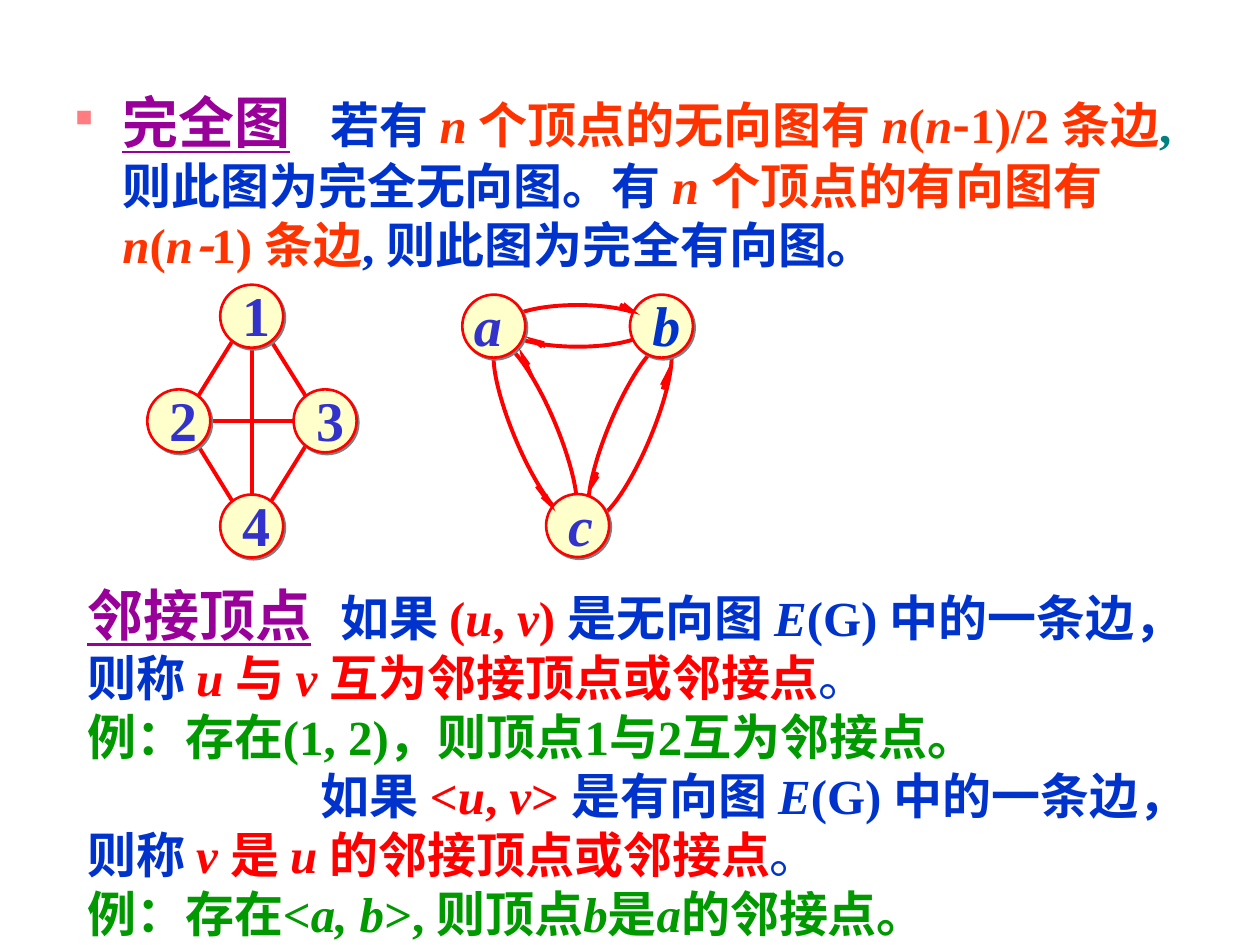
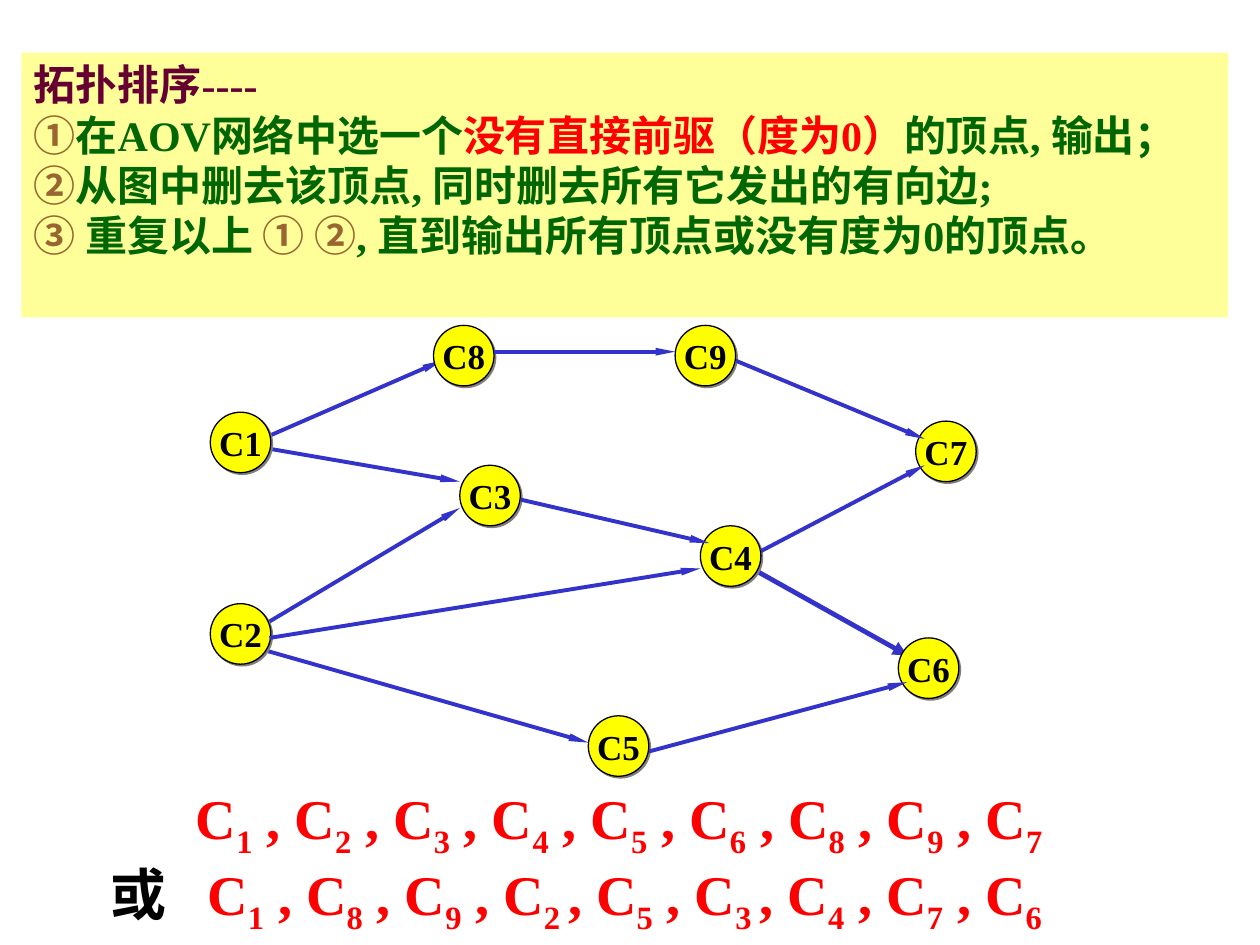
from lxml import etree
from pptx import Presentation
from pptx.dml.color import RGBColor
from pptx.enum.shapes import MSO_CONNECTOR, MSO_SHAPE
from pptx.enum.text import MSO_ANCHOR, PP_ALIGN
from pptx.oxml.ns import qn
from pptx.util import Cm, Pt

OVAL = MSO_SHAPE.OVAL
RECTANGLE = MSO_SHAPE.RECTANGLE
STRAIGHT = MSO_CONNECTOR.STRAIGHT
TOP = MSO_ANCHOR.TOP
MIDDLE = MSO_ANCHOR.MIDDLE
LEFT = PP_ALIGN.LEFT
CENTER = PP_ALIGN.CENTER

LATIN_FONT = "Times New Roman"
CHINESE_FONT = "Noto Sans CJK SC"

BLACK = RGBColor(0x00, 0x00, 0x00)
RED = RGBColor(0xFF, 0x00, 0x00)
ORANGE = RGBColor(0xFF, 0x33, 0x00)
BLUE = RGBColor(0x00, 0x33, 0xCC)
INDIGO = RGBColor(0x33, 0x33, 0xCC)
PURPLE = RGBColor(0x99, 0x00, 0x99)
TEAL = RGBColor(0x00, 0x80, 0x80)
GREEN = RGBColor(0x00, 0x99, 0x00)
DARK_GREEN = RGBColor(0x00, 0x66, 0x00)
BROWN = RGBColor(0x99, 0x66, 0x33)
MAROON = RGBColor(0x66, 0x00, 0x33)
PINK = RGBColor(0xFF, 0x7C, 0x80)
CREAM = RGBColor(0xFF, 0xFF, 0xCC)
PALE_YELLOW = RGBColor(0xFF, 0xFF, 0x99)
YELLOW = RGBColor(0xFF, 0xFF, 0x00)
GRAY = RGBColor(0x80, 0x80, 0x80)


def write(paragraph, text, color=BLACK, size=28, bold=True, italic=False,
          underline=False, font=LATIN_FONT, spacing=0, baseline=0):
    run = paragraph.add_run()
    run.text = text
    run.font.name = font
    run.font.size = Pt(size)
    run.font.bold = bold
    run.font.italic = italic
    run.font.underline = underline
    run.font.color.rgb = color
    properties = run.font._element
    latin = properties.find(qn("a:latin"))
    east_asian = etree.Element(qn("a:ea"), typeface=CHINESE_FONT)
    latin.addnext(east_asian)
    if spacing:
        properties.set("spc", str(round(spacing * 100)))
    if baseline:
        properties.set("baseline", str(baseline * 1000))


def write_phrases(paragraph, phrases, **formats):
    for text, color in phrases:
        for index, part in enumerate(text.split("*")):
            if part:
                write(paragraph, part, color=color, italic=index % 2 == 1, **formats)


def indent(paragraph, left, first_line):
    properties = paragraph._p.get_or_add_pPr()
    properties.set("marL", str(Cm(left)))
    properties.set("indent", str(Cm(first_line)))
    return properties


def add_text_box(slide, left, top, width, height):
    box = slide.shapes.add_textbox(Cm(left), Cm(top), Cm(width), Cm(height))
    box.text_frame.word_wrap = True
    return box.text_frame


def add_paragraphs(frame, count, line_spacing):
    paragraphs = [frame.paragraphs[0]]
    paragraphs += [frame.add_paragraph() for _ in range(count - 1)]
    for paragraph in paragraphs:
        paragraph.line_spacing = Pt(line_spacing)
    return paragraphs


def add_line(slide, left, top, ends, color, width=2.25, arrow=None):
    x1, y1, x2, y2 = ends
    connector = slide.shapes.add_connector(
        STRAIGHT, Cm(left + x1), Cm(top + y1), Cm(left + x2), Cm(top + y2))
    connector.line.color.rgb = color
    connector.line.width = Pt(width)
    if arrow:
        head_width, head_length = arrow
        etree.SubElement(connector.line._get_or_add_ln(), qn("a:tailEnd"),
                         type="triangle", w=head_width, len=head_length)
    etree.SubElement(connector._element.spPr, qn("a:effectLst"))


def add_shape(slide, kind, left, top, width, height, fill=None, line=None, line_width=1.5):
    shape = slide.shapes.add_shape(kind, Cm(left), Cm(top), Cm(width), Cm(height))
    shape.shadow.inherit = False
    if fill is None:
        shape.fill.background()
    else:
        shape.fill.solid()
        shape.fill.fore_color.rgb = fill
    if line is None:
        shape.line.fill.background()
    else:
        shape.line.color.rgb = line
        shape.line.width = Pt(line_width)
    return shape


def add_node(slide, left, top, diameter, fill, line, line_width):
    node = add_shape(slide, OVAL, left, top, diameter, diameter, fill, line, line_width)
    effects = node._element.spPr.find(qn("a:effectLst"))
    shadow = etree.SubElement(effects, qn("a:outerShdw"), blurRad="0",
                              dist=str(Pt(1.4)), dir="2700000", algn="ctr", rotWithShape="0")
    etree.SubElement(shadow, qn("a:srgbClr"), val=str(GRAY))
    return node


def add_small_node(slide, left, top):
    add_node(slide, left, top, 1.27, CREAM, RED, 1.5)


def add_node_label(slide, left, top, text, **formats):
    frame = add_text_box(slide, left, top - 0.2, 1.07, 1.63)
    frame.margin_left = frame.margin_right = 0
    paragraph = frame.paragraphs[0]
    paragraph.alignment = CENTER
    write(paragraph, text, size=32, **formats)


def add_complete_graph_text(slide, left, top, width, height):
    frame = add_text_box(slide, left, top, width, height)
    paragraph = add_paragraphs(frame, 1, 33.7)[0]
    properties = indent(paragraph, 0.95, -0.95)
    bullet_color = etree.SubElement(properties, qn("a:buClr"))
    etree.SubElement(bullet_color, qn("a:srgbClr"), val=str(PINK))
    etree.SubElement(properties, qn("a:buSzPct"), val="42000")
    etree.SubElement(properties, qn("a:buChar"), char="■")
    write(paragraph, "完全图", PURPLE, 32, underline=True, font=CHINESE_FONT)
    write(paragraph, " ", spacing=16.4)
    write_phrases(paragraph, [("若有 ", BLUE), ("*n *个顶点的无向图有 *n*(*n*", ORANGE)])
    write(paragraph, "-", ORANGE, font=CHINESE_FONT)
    write_phrases(paragraph, [
        ("1)/2 条边", ORANGE), (", ", TEAL), ("则此图为完全无向图。有 ", BLUE),
        ("*n *个顶点的有向图有*n*(*n*", ORANGE)])
    write(paragraph, "-", ORANGE, italic=True, font=CHINESE_FONT)
    write_phrases(paragraph, [("1) 条边", ORANGE), (", 则此图为完全有向图。", BLUE)])


def add_undirected_graph(slide, left, top):
    nodes = {"1": (1.47, 0), "2": (0, 2.11), "3": (2.95, 2.11), "4": (1.47, 4.23)}
    radius, inset = 0.635, 0.21
    for start, end in ("24", "13", "34", "12", "23", "14"):
        (x1, y1), (x2, y2) = nodes[start], nodes[end]
        step_x = inset * ((x2 > x1) - (x2 < x1))
        step_y = inset * ((y2 > y1) - (y2 < y1))
        ends = (x1 + step_x, y1 + step_y, x2 - step_x, y2 - step_y)
        add_line(slide, left + radius, top + radius, ends, RED)
    for name, (x, y) in nodes.items():
        add_small_node(slide, left + x, top + y)
        add_node_label(slide, left + x + 0.2, top + y, name, color=INDIGO)


def add_directed_graph(slide, left, top):
    arcs = [(2.95, 0.84, 0.86, 3.81, 22.8), (1.04, 0.84, 0.86, 3.81, 337.2),
            (0.84, 0.21, 2.97, 0.84, 0)]
    nodes = [("a", 0, 0, -0.02, INDIGO), ("b", 3.38, 0, 0.2, BLUE),
             ("c", 1.69, 4.02, 0.16, INDIGO)]
    arrows = [(3.18, 0.2, 3.58, 0.41), (1.68, 1.04, 1.27, 0.84), (1.5, 3.86, 1.88, 4.37),
              (1.4, 1.65, 1.14, 1.07), (2.72, 3.58, 2.54, 4.01), (4.04, 1.91, 4.17, 1.45)]
    for x, y, width, height, rotation in arcs:
        arc = add_shape(slide, OVAL, left + x, top + y, width, height, line=RED, line_width=2.25)
        arc.rotation = rotation
    for name, x, y, shift, color in nodes:
        add_small_node(slide, left + x, top + y)
    for ends in arrows:
        add_line(slide, left, top, ends, RED, arrow=("sm", "lg"))
    for name, x, y, shift, color in nodes:
        add_node_label(slide, left + x + shift, top + y, name, color=color, italic=True)


def add_adjacency_text(slide, left, top, width, height):
    frame = add_text_box(slide, left, top, width, height)
    undirected, first_example, directed, second_example = add_paragraphs(frame, 4, 33.7)
    write(undirected, "邻接顶点", PURPLE, 32, underline=True)
    write(undirected, " ", spacing=10)
    write_phrases(undirected, [
        ("如果 ", BLUE), ("(*u*, *v*) ", RED), ("是无向图 *E*(G) 中的一条边，则称 ", BLUE),
        ("*u *与 *v *互为邻接顶点或邻接点", RED)])
    write_phrases(first_example, [("例：存在(1, 2)，则顶点1与2互为邻接点。", GREEN)])
    indent(directed, 0, 4.71)
    write_phrases(directed, [
        ("如果 ", BLUE), ("<*u*, *v*> ", RED), ("是有向图 *E*(G) 中的一条边，则称 ", BLUE),
        ("*v *是 *u *的邻接顶点或邻接点", RED)])
    for paragraph in (undirected, directed):
        write(paragraph, "。", BLUE, bold=False)
    write_phrases(second_example, [("例：存在<*a, b*>, 则顶点*b*是*a*的邻接点。", GREEN)])


def add_sorting_steps(slide, left, top, width, height):
    band = add_shape(slide, RECTANGLE, left, top, width, height, fill=PALE_YELLOW)
    frame = band.text_frame
    frame.word_wrap = True
    frame.vertical_anchor = TOP
    frame.margin_right = Cm(0.9)
    steps = [
        [("拓扑排序----", MAROON)],
        [("①", BROWN), ("在AOV网络中选一个", DARK_GREEN),
         ("没有直接前驱（度为0）", RED), ("的顶点, 输出；", DARK_GREEN)],
        [("②", BROWN), ("从图中删去该顶点, 同时删去所有它发出的有向边;", DARK_GREEN)],
        [("③ ", BROWN), ("重复以上 ", DARK_GREEN), ("① ②", BROWN),
         (", 直到输出所有顶点或没有度为0的顶点。", DARK_GREEN)],
    ]
    for paragraph, phrases in zip(add_paragraphs(frame, len(steps), 28.8), steps):
        paragraph.alignment = LEFT
        write_phrases(paragraph, phrases, size=24)


def add_activity_network(slide, left, top):
    nodes = {"C8": (4.5, 0), "C3": (5.03, 2.82), "C5": (7.62, 7.87), "C4": (9.88, 4.04),
             "C9": (9.37, 0), "C6": (13.87, 6.3), "C7": (14.22, 1.93), "C1": (0, 1.75),
             "C2": (0, 5.61)}
    edges_behind = [(0.86, 6.48, 7.62, 8.41), (1.19, 5.97, 5.03, 3.68),
                    (1.04, 2.46, 5.03, 3.15), (1.04, 2.29, 4.67, 0.71)]
    edges_in_front = [(5.72, 0.53, 9.37, 0.53), (6.25, 3.51, 10.06, 4.39),
                      (1.19, 6.3, 9.88, 4.9), (10.59, 0.71, 14.4, 2.29),
                      (11.1, 4.55, 14.4, 2.82), (8.84, 8.59, 14.05, 7.19)]
    add_line(slide, left, top, (10.92, 4.9, 14.05, 6.65), INDIGO, 2.75, ("med", "med"))
    for ends in edges_behind:
        add_line(slide, left, top, ends, INDIGO, arrow=("sm", "lg"))
    for name, (x, y) in nodes.items():
        node = add_node(slide, left + x, top + y, 1.22, YELLOW, BLACK, 0.75)
        frame = node.text_frame
        frame.word_wrap = False
        frame.vertical_anchor = MIDDLE
        frame.paragraphs[0].alignment = CENTER
        write(frame.paragraphs[0], name, size=20)
    for ends in edges_in_front:
        add_line(slide, left, top, ends, INDIGO, arrow=("sm", "lg"))


def write_sequence(paragraph, numbers):
    separator = ""
    for number in numbers:
        write(paragraph, separator + "C", RED, 32)
        write(paragraph, number, RED, 32, baseline=-25)
        separator = ", " if number.endswith(" ") else " , "


def add_sorted_sequences(slide, left, top, width, height):
    frame = add_text_box(slide, left, top, width, height)
    first, second = add_paragraphs(frame, 2, 43.4)
    indent(first, 0, 1.72)
    write_sequence(first, "123456897")
    write(second, "或", size=32)
    write(second, " ", size=32, spacing=16)
    write_sequence(second, ["1", "8", "9", "2 ", "5", "3 ", "4", "7", "6"])


def build_definitions_slide(slide):
    add_complete_graph_text(slide, 1.27, 1.81, 22.86, 4.24)
    add_directed_graph(slide, 9.32, 5.94)
    add_undirected_graph(slide, 2.97, 5.74)
    add_adjacency_text(slide, 1.51, 11.74, 22.38, 7.2)


def build_sorting_slide(slide):
    add_activity_network(slide, 4.24, 6.56)
    add_sorting_steps(slide, 0.43, 1.06, 24.33, 5.34)
    add_sorted_sequences(slide, 1.98, 15.68, 21.5, 3.3)


def main():
    presentation = Presentation()
    presentation.slide_width = Cm(25.4)
    presentation.slide_height = Cm(19.05)
    blank_layout = presentation.slide_layouts[6]
    for build in (build_definitions_slide, build_sorting_slide):
        build(presentation.slides.add_slide(blank_layout))
    presentation.save("out.pptx")


if __name__ == "__main__":
    main()
